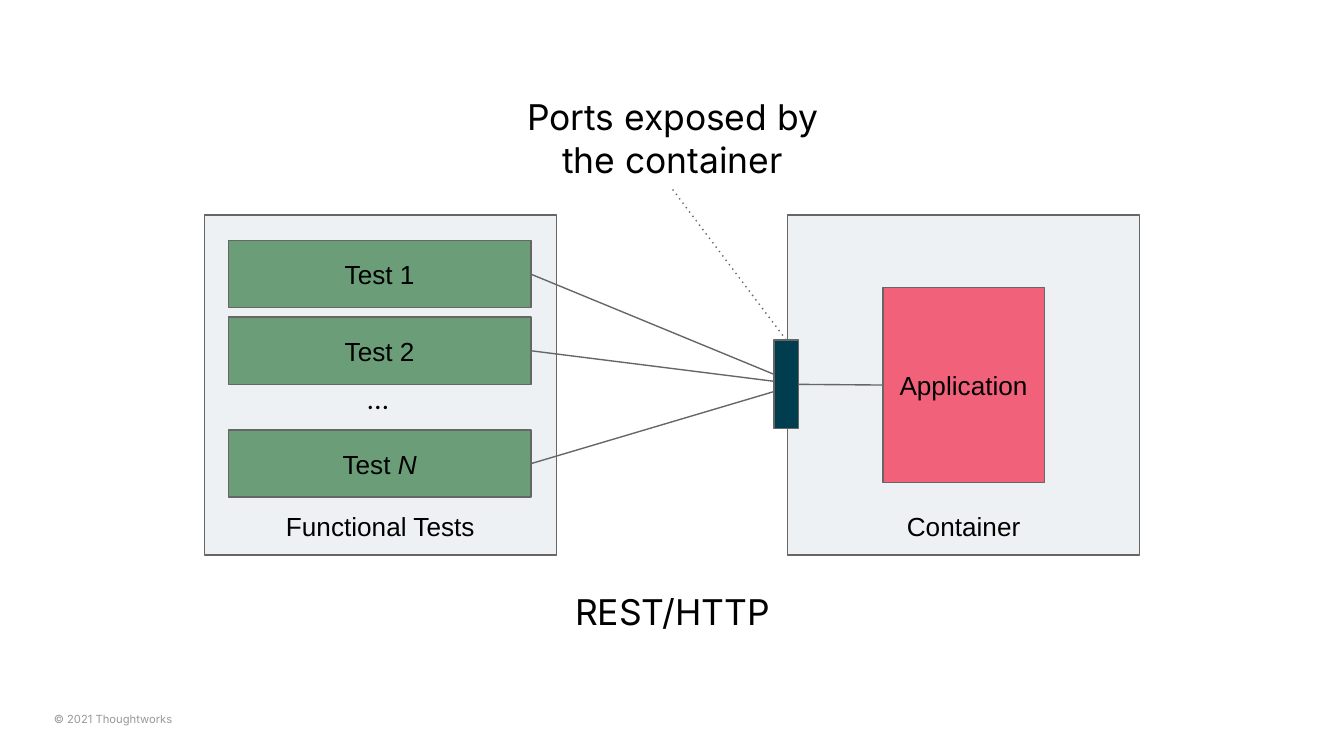
from pptx import Presentation
from pptx.dml.color import RGBColor
from pptx.enum.dml import MSO_LINE
from pptx.enum.shapes import MSO_CONNECTOR, MSO_SHAPE
from pptx.enum.text import MSO_ANCHOR, PP_ALIGN
from pptx.oxml.ns import qn
from pptx.util import Inches, Pt

RECTANGLE = MSO_SHAPE.RECTANGLE
STRAIGHT = MSO_CONNECTOR.STRAIGHT
ROUND_DOT = MSO_LINE.ROUND_DOT
TOP, MIDDLE, BOTTOM = MSO_ANCHOR.TOP, MSO_ANCHOR.MIDDLE, MSO_ANCHOR.BOTTOM
LEFT, CENTER = PP_ALIGN.LEFT, PP_ALIGN.CENTER
TOP_SIDE, LEFT_SIDE, BOTTOM_SIDE, RIGHT_SIDE = range(4)

COLORS = {
    "panel": "EDF1F3",
    "test": "6B9E78",
    "application": "F2617A",
    "port": "003D4F",
    "outline": "666666",
    "text": "000000",
    "footer": "999999",
}


def color(name):
    return RGBColor.from_string(COLORS[name])


def write_text(shape, text, italic_tail="", size=14, font="Arial", ink="text",
               align=CENTER, anchor=MIDDLE, inset=0.1):
    frame = shape.text_frame
    frame.word_wrap = True
    frame.vertical_anchor = anchor
    frame.margin_left = frame.margin_right = Inches(inset)
    frame.margin_top = frame.margin_bottom = Inches(inset)
    paragraph = frame.paragraphs[0]
    paragraph.alignment = align
    for words, italic in ((text, False), (italic_tail, True)):
        if words:
            run = paragraph.add_run()
            run.text = words
            run.font.size = Pt(size)
            run.font.name = font
            run.font.italic = italic
            run.font.color.rgb = color(ink)


def add_label(slide, box, text, **text_format):
    label = slide.shapes.add_textbox(*map(Inches, box))
    write_text(label, text, **text_format)
    return label


def add_block(slide, box, fill, text="", **text_format):
    block = slide.shapes.add_shape(RECTANGLE, *map(Inches, box))
    block.shadow.inherit = False
    block.fill.solid()
    block.fill.fore_color.rgb = color(fill)
    block.line.color.rgb = color("outline")
    block.line.width = Pt(0.75)
    if text:
        write_text(block, text, **text_format)
    return block


def link(slide, start, start_side, end, end_side, dotted=False):
    connector = slide.shapes.add_connector(STRAIGHT, 0, 0, 0, 0)
    connector.begin_connect(start, start_side)
    connector.end_connect(end, end_side)
    connector.line.color.rgb = color("outline")
    connector.line.width = Pt(0.75)
    properties = connector._element.spPr
    if dotted:
        connector.line.dash_style = ROUND_DOT
        next(properties.iter(qn("a:prstDash"))).set("val", "dot")
    properties.append(properties.makeelement(qn("a:effectLst"), {}))


def add_container(slide, box):
    left, top, width, height = box
    add_block(slide, box, "panel", "Container", anchor=BOTTOM)
    application = add_block(slide, (left + 0.71, top + 0.54, 1.2, 1.45),
                            "application", "Application")
    port = add_block(slide, (left - 0.1, top + 0.93, 0.18, 0.66), "port")
    link(slide, port, RIGHT_SIDE, application, LEFT_SIDE)
    return port


def add_functional_tests(slide, box):
    left, top, width, height = box
    add_block(slide, box, "panel", "Functional Tests", anchor=BOTTOM)
    rows = [(0.19, "Test 1", ""), (0.76, "Test 2", ""), (1.6, "Test ", "N")]
    tests = [
        add_block(slide, (left + 0.18, top + offset, 2.25, 0.5), "test", name,
                  italic_tail=tail)
        for offset, name, tail in rows
    ]
    add_label(slide, (left + 1.11, top + 1.15, 0.39, 0.6), "…",
              font="Inter", align=LEFT, anchor=TOP)
    return tests


def add_traffic(slide, box, tests, port):
    left, top, width, height = box
    caption = {"size": 19, "font": "Inter"}
    ports_note = add_label(slide, (left - 0.42, top, 2.57, 0.8),
                           "Ports exposed by the container", anchor=TOP, **caption)
    link(slide, ports_note, BOTTOM_SIDE, port, TOP_SIDE, dotted=True)
    for test in tests:
        link(slide, test, RIGHT_SIDE, port, RIGHT_SIDE)
    add_label(slide, (left, top + height - 0.5, width, 0.5), "REST/HTTP", **caption)
    slide.shapes._spTree.append(port._element)


def add_footer(slide, box):
    add_label(slide, box, "© 2021 Thoughtworks", size=6, font="Inter",
              ink="footer", align=LEFT, anchor=BOTTOM, inset=0)


def main():
    deck = Presentation()
    deck.slide_width = Inches(10)
    deck.slide_height = deck.slide_width * 9 // 16
    slide = deck.slides.add_slide(deck.slide_layouts[6])
    add_footer(slide, (0.4, 5.21, 4.31, 0.19))
    port = add_container(slide, (5.86, 1.6, 2.62, 2.53))
    tests = add_functional_tests(slide, (1.52, 1.6, 2.62, 2.53))
    add_traffic(slide, (4.14, 0.61, 1.73, 4.19), tests, port)
    deck.save("out.pptx")


if __name__ == "__main__":
    main()
